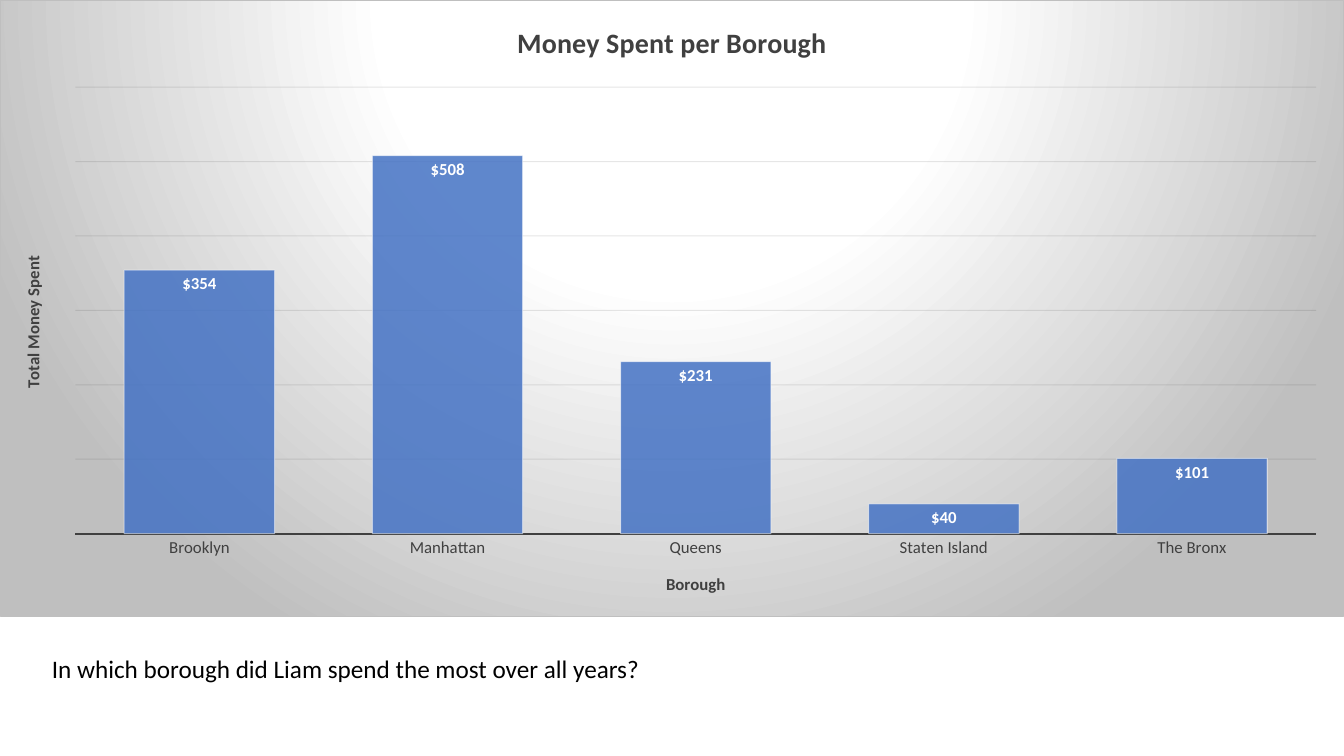
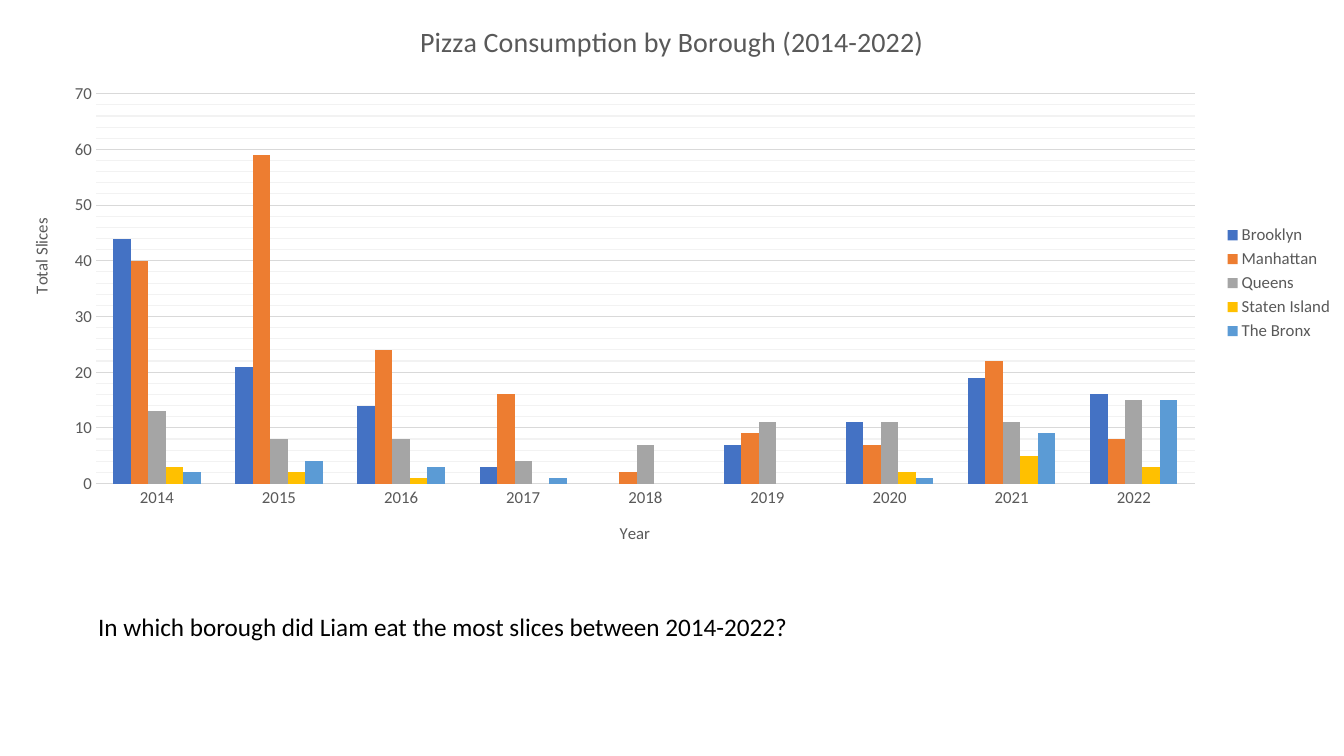
from dataclasses import dataclass, field
from typing import Optional

from pptx import Presentation
from pptx.chart.data import CategoryChartData
from pptx.dml.color import RGBColor
from pptx.enum.chart import XL_CHART_TYPE, XL_LABEL_POSITION, XL_LEGEND_POSITION, XL_TICK_MARK
from pptx.enum.text import MSO_AUTO_SIZE
from pptx.oxml import parse_xml
from pptx.oxml.ns import nsdecls, qn
from pptx.util import Pt


@dataclass(frozen=True)
class Theme:
    face: str = "Calibri"
    title: int = 20
    label: int = 12
    body: int = 18
    hair: float = 0.75
    black: str = "000000"
    white: str = "FFFFFF"
    dark: str = "404040"
    gray: str = "595959"
    ink: str = "0D0D0D"
    rule: str = "D9D9D9"
    faint: str = "F2F2F2"
    edge: str = "BFBFBF"
    hues: tuple = ("4472C4", "ED7D31", "A5A5A5", "FFC000", "5B9BD5")


THEME = Theme()
WIDTH, HEIGHT = 960, 540
BOROUGHS = ("Brooklyn", "Manhattan", "Queens", "Staten Island", "The Bronx")


@dataclass(frozen=True)
class Box:
    left: float
    top: float
    width: float
    height: float

    def spread(self) -> tuple:
        return Pt(self.left), Pt(self.top), Pt(self.width), Pt(self.height)


@dataclass(frozen=True)
class Graph:
    title: str
    across: str
    upward: str
    cats: tuple
    series: dict = field(hash=False)
    height: float
    plot: Box
    gap: int
    top: int
    step: int
    color: str
    bold: bool
    base: tuple
    grid: str


@dataclass(frozen=True)
class Query:
    text: str
    box: Box


def style(font, size: int, color: str, bold: bool = False) -> None:
    font.name, font.size, font.bold = THEME.face, Pt(size), bold
    font.color.rgb = RGBColor.from_string(color)


def stroke(line, color: str, width: float = THEME.hair) -> None:
    line.color.rgb = RGBColor.from_string(color)
    line.width = Pt(width)


def write(frame, text: str, size: int, color: str, bold: bool = False) -> None:
    para = frame.paragraphs[0]
    para.text = text
    style(para.font, size, color, bold)


def place(node, left: float, top: float,
          width: Optional[float] = None, height: Optional[float] = None) -> None:
    inner = '<c:layoutTarget val="inner"/>' if width else ""
    sides = {"x": left, "y": top, "w": width, "h": height}
    modes = '<c:xMode val="edge"/><c:yMode val="edge"/>'
    vals = "".join(f'<c:{key} val="{val}"/>' for key, val in sides.items() if val is not None)
    new = parse_xml(f'<c:layout {nsdecls("c")}><c:manualLayout>{inner}{modes}{vals}'
                    '</c:manualLayout></c:layout>')
    old = node.find(qn("c:layout"))
    if old is None:
        node.insert(0, new)
    else:
        node.replace(old, new)


def panel(fill: str = "<a:noFill/>", line: str = "<a:noFill/>"):
    return parse_xml(f'<c:spPr {nsdecls("c", "a")}>{fill}'
                     f'<a:ln w="{Pt(THEME.hair)}">{line}</a:ln></c:spPr>')


def tint(color: str) -> str:
    return f'<a:srgbClr val="{color}"/>'


def solid(color: str) -> str:
    return f"<a:solidFill>{tint(color)}</a:solidFill>"


def glow() -> str:
    stops = ((0, THEME.white), (39, THEME.white), (100, THEME.edge))
    marks = "".join(f'<a:gs pos="{pos * 1000}">{tint(color)}</a:gs>' for pos, color in stops)
    return (f'<a:gradFill><a:gsLst>{marks}</a:gsLst><a:path path="circle">'
            '<a:fillToRect l="50000" t="-80000" r="50000" b="180000"/></a:path></a:gradFill>')


def fade(chart, where: str, share: int) -> None:
    for color in chart.element.xpath(f".//{where}//a:srgbClr"):
        color.append(parse_xml(f'<a:alpha {nsdecls("a")} val="{share * 1000}"/>'))


def back(chart, skin) -> None:
    chart.element.find(qn("c:chart")).addnext(skin)


def draw(slide, graph: Graph):
    data = CategoryChartData()
    data.categories = graph.cats
    for name, vals in graph.series.items():
        data.add_series(name, vals)
    area = Box(0, 0, WIDTH, graph.height)
    chart = slide.shapes.add_chart(XL_CHART_TYPE.COLUMN_CLUSTERED, *area.spread(), data).chart
    style(chart.font, THEME.label, graph.color)
    chart.has_legend = False
    chart.has_title = True
    chart.chart_title.include_in_layout = False
    write(chart.chart_title.text_frame, graph.title, THEME.title, graph.color, graph.bold)

    plot = chart.plots[0]
    plot.vary_by_categories = False
    plot.gap_width = graph.gap
    for series, hue in zip(plot.series, THEME.hues):
        series.format.fill.solid()
        series.format.fill.fore_color.rgb = RGBColor.from_string(hue)

    for axis, text in ((chart.category_axis, graph.across), (chart.value_axis, graph.upward)):
        axis.major_tick_mark = axis.minor_tick_mark = XL_TICK_MARK.NONE
        style(axis.tick_labels.font, THEME.label, graph.color)
        axis.has_title = True
        write(axis.axis_title.text_frame, text, THEME.label, graph.color, graph.bold)
    stroke(chart.category_axis.format.line, *graph.base)
    scale = chart.value_axis
    scale.minimum_scale, scale.maximum_scale, scale.major_unit = 0, graph.top, graph.step
    scale.format.line.fill.background()
    scale.has_major_gridlines = True
    stroke(scale.major_gridlines.format.line, graph.grid)

    region = chart.element.find(qn("c:chart")).find(qn("c:plotArea"))
    spot = graph.plot
    place(region, spot.left / WIDTH, spot.top / graph.height,
          spot.width / WIDTH, spot.height / graph.height)
    region.append(panel())
    return chart


def ask(slide, query: Query) -> None:
    frame = slide.shapes.add_textbox(*query.box.spread()).text_frame
    frame.word_wrap = True
    frame.auto_size = MSO_AUTO_SIZE.SHAPE_TO_FIT_TEXT
    write(frame, query.text, THEME.body, THEME.black)


def money(slide) -> None:
    chart = draw(slide, Graph(
        "Money Spent per Borough", "Borough", "Total Money Spent", BOROUGHS,
        {"Series 1": (354, 508, 231, 40, 101)}, 441, Box(53.5, 62, 887, 319.5),
        65, 600, 100, THEME.dark, True, (THEME.dark, 1.5), THEME.ink))
    chart.value_axis.visible = False
    plot = chart.plots[0]
    stroke(plot.series[0].format.line, THEME.white)
    plot.has_data_labels = True
    labels = plot.data_labels
    labels.show_value = True
    labels.position = XL_LABEL_POSITION.INSIDE_END
    labels.number_format, labels.number_format_is_linked = '"$"#,##0', False
    style(labels.font, THEME.label, THEME.white, True)
    fade(chart, "c:ser/c:spPr/a:solidFill", 85)
    fade(chart, "c:ser/c:spPr/a:ln", 50)
    fade(chart, "c:majorGridlines", 10)
    back(chart, panel(glow(), solid(THEME.edge)))
    ask(slide, Query("In which borough did Liam spend the most over all years?",
                     Box(30, 463, 743, 29)))


def pizza(slide) -> None:
    counts = (
        (44, 21, 14, 3, None, 7, 11, 19, 16),
        (40, 59, 24, 16, 2, 9, 7, 22, 8),
        (13, 8, 8, 4, 7, 11, 11, 11, 15),
        (3, 2, 1, None, None, None, 2, 5, 3),
        (2, 4, 3, 1, None, None, 1, 9, 15),
    )
    chart = draw(slide, Graph(
        "Pizza Consumption by Borough (2014-2022)", "Year", "Total Slices",
        tuple(str(year) for year in range(2014, 2023)), dict(zip(BOROUGHS, counts)),
        404.5, Box(68.5, 67, 785, 278.5), 199, 70, 10, THEME.gray, False,
        (THEME.rule, THEME.hair), THEME.rule))
    scale = chart.value_axis
    scale.has_minor_gridlines = True
    scale.minor_unit = 2
    for lines in chart.element.xpath(".//c:valAx/c:minorGridlines"):
        lines.append(panel("", solid(THEME.faint)))
    place(scale.axis_title.element, 0.02, 0.38)
    chart.has_legend = True
    chart.legend.position = XL_LEGEND_POSITION.RIGHT
    chart.legend.include_in_layout = False
    style(chart.legend.font, THEME.label, THEME.gray)
    back(chart, panel())
    ask(slide, Query("In which borough did Liam eat the most slices between 2014-2022?",
                     Box(63, 433, 844, 29)))


def main() -> None:
    deck = Presentation()
    deck.slide_width, deck.slide_height = Pt(WIDTH), Pt(HEIGHT)
    for build in (money, pizza):
        build(deck.slides.add_slide(deck.slide_layouts[6]))
    deck.save("out.pptx")


if __name__ == "__main__":
    main()
